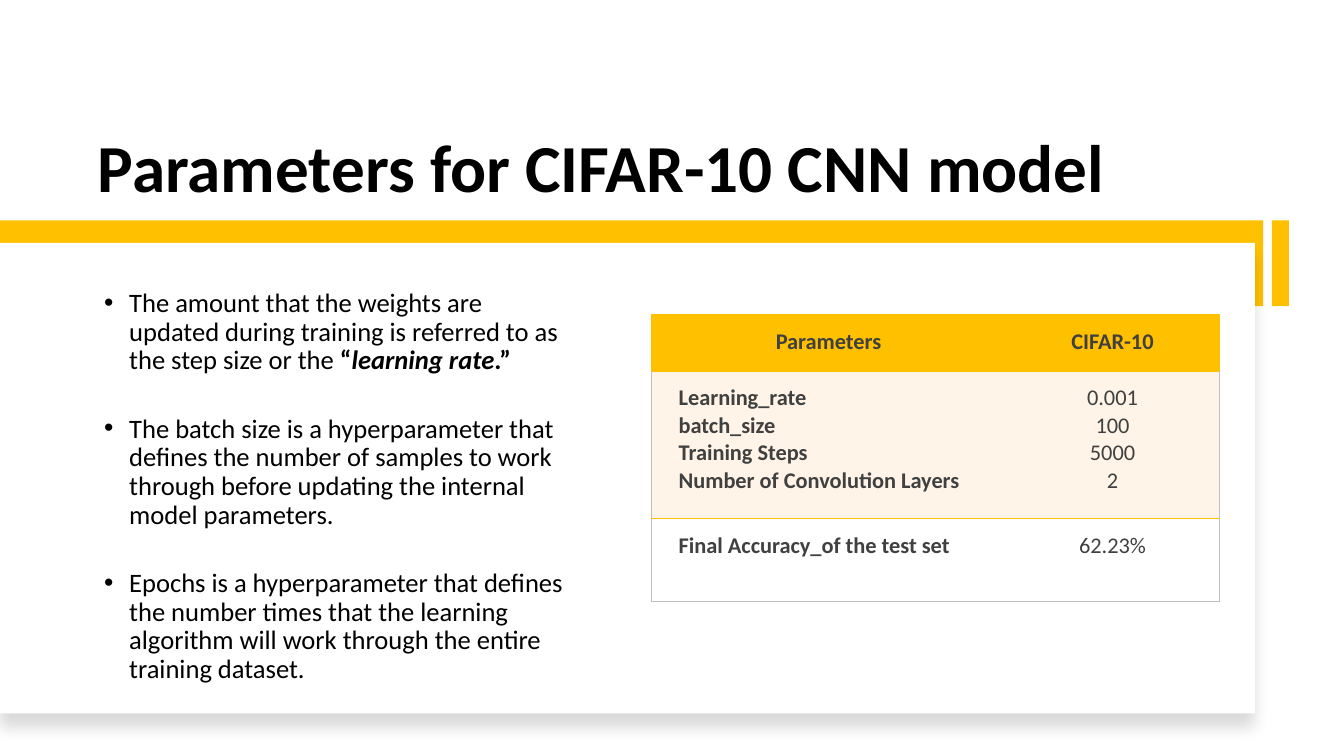
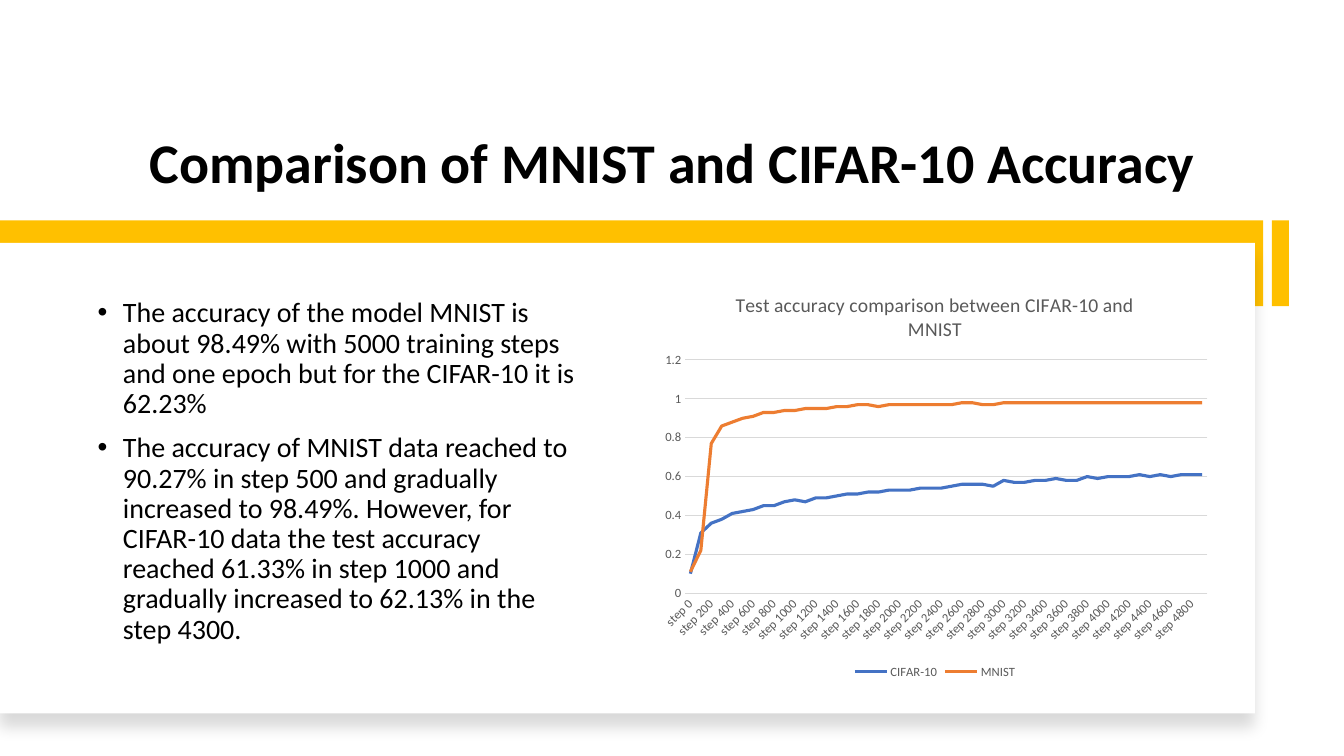
from lxml.etree import SubElement as Sub
from pptx import Presentation
from pptx.chart.data import CategoryChartData as Data
from pptx.dml.color import RGBColor
from pptx.enum.chart import XL_CHART_TYPE as Kind, XL_LEGEND_POSITION as Spot, XL_TICK_MARK as Tick
from pptx.enum.shapes import MSO_SHAPE as Form
from pptx.enum.text import MSO_ANCHOR as Anchor, MSO_AUTO_SIZE as Auto, PP_ALIGN as Align
from pptx.oxml.ns import qn
from pptx.util import Pt

FACE = "Calibri"
GOLD, WHITE, BLACK = "FFC000", "FFFFFF", "000000"
CREAM, DARK, GREY, RULE, EDGE = "FFF4E7", "404040", "595959", "D9D9D9", "BFBFBF"
BLUE, ORANGE = "4472C4", "ED7D31"
BAND_TOP, BAND_TALL = 157.4, 61.2
BODY = (62.6, 204.5, 357.1, 286.6)
TABLE = (465.4, 224.9, 405.7, 204.6)
CHART = (465.1, 195.8, 405.4, 292.3)

RATE = [("The amount that the weights are updated during training is referred to as "
         "the step size or the ", False, False),
        ("“", True, False), ("learning rate", True, True), (".”", True, False)]
BATCH = ("The batch size is a hyperparameter that defines the number of samples to work "
         "through before updating the internal model parameters.")
EPOCH = ("Epochs is a hyperparameter that defines the number times that the learning "
         "algorithm will work through the entire training dataset.")
FINAL = ("The accuracy of the model MNIST is about 98.49% with 5000 training steps "
         "and one epoch but for the CIFAR-10 it is 62.23%")
TREND = ("The accuracy of MNIST data reached to 90.27% in step 500 and gradually increased "
         "to 98.49%. However, for CIFAR-10 data the test accuracy reached 61.33% in step 1000 "
         "and gradually increased to 62.13% in the step 4300.")
ROWS = [
    (["Parameters"], ["CIFAR-10"]),
    (["Learning_rate", "batch_size", "Training Steps", "Number of Convolution Layers"],
     ["0.001", "100", "5000", "2"]),
    (["Final Accuracy_of the test set"], ["62.23%"]),
]
CIFAR = [0.1, 0.31, 0.36, 0.38, 0.41, 0.42, 0.43, 0.45, 0.45, 0.47,
         0.48, 0.47, 0.49, 0.49, 0.5, 0.51, 0.51, 0.52, 0.52, 0.53,
         0.53, 0.53, 0.54, 0.54, 0.54, 0.55, 0.56, 0.56, 0.56, 0.55,
         0.58, 0.57, 0.57, 0.58, 0.58, 0.59, 0.58, 0.58, 0.6, 0.59,
         0.6, 0.6, 0.6, 0.61, 0.6, 0.61, 0.6, 0.61, 0.61, 0.61]
MNIST = [0.11, 0.22, 0.77, 0.86, 0.88, 0.9, 0.91, 0.93, 0.93, 0.94,
         0.94, 0.95, 0.95, 0.95, 0.96, 0.96, 0.97, 0.97, 0.96, 0.97,
         0.97, 0.97, 0.97, 0.97, 0.97, 0.97, 0.98, 0.98, 0.97, 0.97] + [0.98] * 20


def hue(code):
    return RGBColor.from_string(code)


def style(font, size, code, bold=None):
    font.name, font.size, font.bold = FACE, Pt(size), bold
    font.color.rgb = hue(code)


def place(item, box):
    item.left, item.top, item.width, item.height = map(Pt, box)


def block(slide, layer, box, code):
    item = slide.shapes.add_shape(Form.RECTANGLE, *map(Pt, box))
    item.shadow.inherit = False
    item.fill.solid()
    item.fill.fore_color.rgb = hue(code)
    item.line.fill.background()
    slide.shapes.element.insert(2 + layer, item.element)
    return item


def shade(item):
    glow = Sub(item.element.spPr.find(qn("a:effectLst")), qn("a:outerShdw"),
               blurRad=str(Pt(11)), dist=str(Pt(10)), dir="5400000", algn="t", rotWithShape="0")
    Sub(Sub(glow, qn("a:srgbClr"), val=BLACK), qn("a:alpha"), val="15000")


def frame(deck, text, box, size, align):
    slide = deck.slides.add_slide(deck.slide_layouts[1])
    block(slide, 0, (0, BAND_TOP, 902.2, BAND_TALL), GOLD)
    shade(block(slide, 1, (0, 173.5, 896.4, 336.2), WHITE))
    block(slide, 2, (908.6, BAND_TOP, 12.2, BAND_TALL), GOLD)
    title = slide.shapes.title
    place(title, box)
    area = title.text_frame
    area.text = text
    area.auto_size, area.vertical_anchor = Auto.NONE, Anchor.BOTTOM
    para = area.paragraphs[0]
    para.alignment, para.line_spacing = align, 0.9
    style(para.font, size, BLACK, True)
    return slide


def bullets(slide, box, items, size, dent, gap, foot=3.6):
    body = slide.placeholders[1]
    place(body, box)
    area = body.text_frame
    area.auto_size, area.vertical_anchor = Auto.NONE, Anchor.MIDDLE
    area.margin_bottom = Pt(foot)
    for n, item in enumerate(items):
        para = area.add_paragraph() if n else area.paragraphs[0]
        props = para._p.get_or_add_pPr()
        props.set("marL", str(Pt(dent)))
        props.set("indent", str(Pt(-18)))
        para.line_spacing = 0.9
        para.space_before, para.space_after = Pt(gap if n else 0), Pt(0)
        style(para.font, size, BLACK)
        if isinstance(item, str):
            para.add_run().text = item
            continue
        for text, bold, slant in item:
            run = para.add_run()
            run.text = text
            run.font.bold, run.font.italic = bold, slant


def edges(cell, codes):
    props = cell._tc.get_or_add_tcPr()
    for n, (side, code) in enumerate(zip("LRTB", codes)):
        line = props.makeelement(qn("a:ln" + side), {"w": str(Pt(0.75 if code else 0))})
        props.insert(n, line)
        if code:
            Sub(Sub(line, qn("a:solidFill")), qn("a:srgbClr"), val=code)
        else:
            Sub(line, qn("a:noFill"))


def grid(slide, box):
    table = slide.shapes.add_table(len(ROWS), 2, *map(Pt, box)).table
    for col, wide in zip(table.columns, (247.9, 157.8)):
        col.width = Pt(wide)
    for row, tall in zip(table.rows, (40.4, 105.2, 59)):
        row.height = Pt(tall)
    fills = (GOLD, CREAM, WHITE)
    lines = (GOLD, GOLD, GOLD, EDGE)
    for r, row in enumerate(ROWS):
        for c, texts in enumerate(row):
            cell = table.cell(r, c)
            cell.margin_left, cell.margin_right = Pt(19.4), Pt(14.4)
            cell.margin_top = cell.margin_bottom = Pt(9.4)
            cell.fill.solid()
            cell.fill.fore_color.rgb = hue(fills[r])
            side = EDGE if r else GOLD
            edges(cell, (None if c else side, side if c else None, lines[r], lines[r + 1]))
            cell.text = "\n".join(texts)
            for para in cell.text_frame.paragraphs:
                para.alignment = Align.LEFT if r and not c else Align.CENTER
                style(para.font, 16, DARK, r == 0 or c == 0)


def layout(chart, box):
    area = chart._chartSpace.chart.plotArea
    for old in area.findall(qn("c:layout")):
        area.remove(old)
    root = area.makeelement(qn("c:layout"), {})
    area.insert(0, root)
    spot = Sub(root, qn("c:manualLayout"))
    Sub(spot, qn("c:layoutTarget"), val="inner")
    for name in ("xMode", "yMode"):
        Sub(spot, qn("c:" + name), val="edge")
    for name, size in zip("xywh", box):
        Sub(spot, qn("c:" + name), val=str(size))


def graph(slide, box):
    data = Data()
    data.categories = [f"step {n * 100}" for n in range(len(CIFAR))]
    data.add_series("CIFAR-10", CIFAR)
    data.add_series("MNIST", MNIST)
    chart = slide.shapes.add_chart(Kind.LINE, *map(Pt, box), data).chart
    style(chart.font, 10, BLACK)
    chart.has_title = True
    area = chart.chart_title.text_frame
    area.text = "Test accuracy comparison between CIFAR-10 and MNIST"
    style(area.paragraphs[0].font, 14, GREY, False)
    chart.chart_title.include_in_layout = False
    chart.has_legend = True
    chart.legend.position = Spot.BOTTOM
    chart.legend.include_in_layout = False
    style(chart.legend.font, 9, GREY)
    cat, val = chart.category_axis, chart.value_axis
    for axis in (cat, val):
        axis.major_tick_mark = axis.minor_tick_mark = Tick.NONE
        style(axis.tick_labels.font, 9, GREY)
    cat._element.txPr.bodyPr.set("rot", "-60000000")
    val.minimum_scale, val.maximum_scale, val.major_unit = 0, 1.2, 0.2
    val.format.line.fill.background()
    val.has_major_gridlines = True
    for line in (cat.format.line, val.major_gridlines.format.line):
        line.color.rgb, line.width = hue(RULE), Pt(0.75)
    plot = chart.plots[0]
    plot.vary_by_categories = False
    for part, code in zip(plot.series, (BLUE, ORANGE)):
        part.smooth = False
        part.format.line.color.rgb = hue(code)
        part.format.line.width = Pt(2.25)
    layout(chart, (0.06, 0.21, 0.92, 0.57))


def main():
    deck = Presentation()
    deck.slide_width, deck.slide_height = Pt(960), Pt(540)
    slide = frame(deck, "Parameters for CIFAR-10 CNN model",
                  (62.6, 49.2, 792.7, 102.2), 48, Align.LEFT)
    bullets(slide, BODY, [RATE, BATCH, EPOCH], 19, 22.5, 28.2)
    grid(slide, TABLE)
    slide = frame(deck, "Comparison of MNIST and CIFAR-10 Accuracy",
                  (0, 81.9, 960, 61.2), 40, Align.CENTER)
    bullets(slide, BODY, [FINAL, TREND], 20, 18, 10, 25)
    graph(slide, CHART)
    deck.save("out.pptx")


if __name__ == "__main__":
    main()
